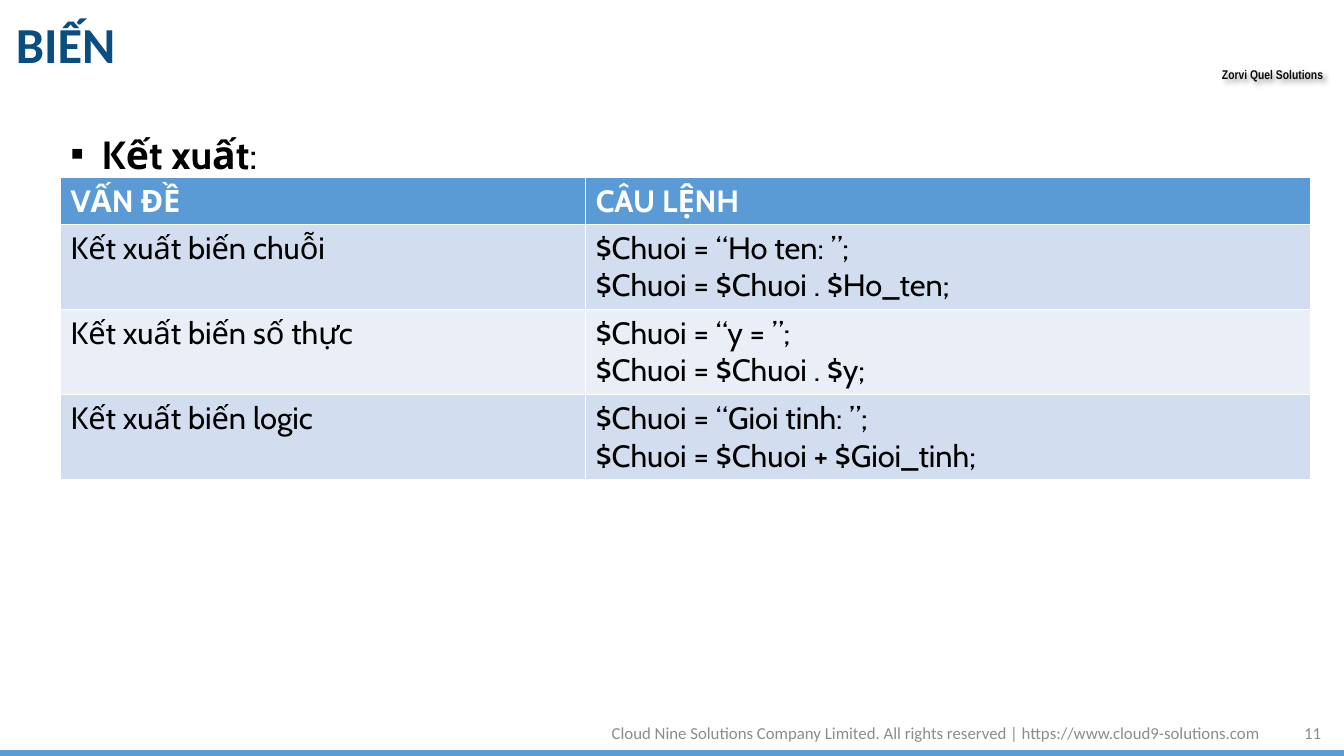
from dataclasses import dataclass

from lxml.etree import SubElement as Sub
from pptx import Presentation
from pptx.dml.color import RGBColor
from pptx.enum.shapes import MSO_SHAPE as Shape
from pptx.enum.text import MSO_ANCHOR as Anchor, PP_ALIGN as Align
from pptx.oxml.ns import qn
from pptx.util import Emu, Inches, Pt

deck = Presentation()
deck.slide_width, deck.slide_height = Inches(13.33), Inches(7.5)
slide = deck.slides.add_slide(deck.slide_layouts[6])

BLUE, NAVY, GREY = "5B9BD5", "094D81", "8C8C8C"
BANDS = ("D2DEEF", "EAEFF7")
COLS, HEAD, ROW = (39.08, 53.94), 6.1, 11.27


@dataclass
class Box:
    """A place on the slide, in percent of its width and height."""
    x: float
    y: float
    w: float
    h: float

    def place(self) -> tuple[Emu, Emu, Emu, Emu]:
        return across(self.x), down(self.y), across(self.w), down(self.h)


@dataclass
class Label:
    box: Box
    text: str
    form: dict
    pad: bool = True
    mid: bool = True


def across(share: float) -> Emu:
    return Emu(int(deck.slide_width * share / 100))


def down(share: float) -> Emu:
    return Emu(int(deck.slide_height * share / 100))


def color(code: str) -> RGBColor:
    return RGBColor.from_string(code)


def write(para, text: str, *, size: float, face: str = "Calibri", ink: str = "000000",
          bold: bool = False, align=None, gap: float | None = None) -> None:
    run = para.add_run()
    run.text = text
    font = run.font
    font.size, font.name, font.bold = Pt(size), face, bold
    font.color.rgb = color(ink)
    if align is not None:
        para.alignment = align
    if gap is not None:
        para.line_spacing = gap


def draw(label: Label):
    shape = slide.shapes.add_textbox(*label.box.place())
    frame = shape.text_frame
    frame.word_wrap = label.pad
    if not label.pad:
        frame.margin_left = frame.margin_right = frame.margin_top = frame.margin_bottom = 0
    frame.vertical_anchor = Anchor.MIDDLE if label.mid else Anchor.TOP
    write(frame.paragraphs[0], label.text, **label.form)
    return shape


def shade(shape) -> None:
    effect = Sub(shape._element.spPr, qn("a:effectLst"))
    cast = Sub(effect, qn("a:outerShdw"), blurRad="50800", dist="38100", dir="2700000")
    tint = Sub(cast, qn("a:srgbClr"), val="000000")
    Sub(tint, qn("a:alpha"), val="40000")


def bullet(para, mark: str, dent: float) -> None:
    props = para._p.get_or_add_pPr()
    props.set("marL", str(Inches(dent)))
    props.set("indent", str(-Inches(dent)))
    Sub(props, qn("a:buFont"), typeface="Arial")
    Sub(props, qn("a:buChar"), char=mark)


def fill(cell, lines: list[str], back: str, **form) -> None:
    cell.fill.solid()
    cell.fill.fore_color.rgb = color(back)
    frame = cell.text_frame
    for i, line in enumerate(lines):
        para = frame.add_paragraph() if i else frame.paragraphs[0]
        write(para, line, size=22, face="Cabin", **form)


# Bottom bar
bar = slide.shapes.add_shape(Shape.RECTANGLE, *Box(0, 99.33, 100, 0.67).place())
bar.shadow.inherit = False
bar.fill.solid()
bar.fill.fore_color.rgb = bar.line.color.rgb = color(BLUE)
bar.line.width = Pt(1.25)

# Company label
shade(draw(Label(Box(90.92, 8.8, 7.8, 2), "Zorvi Quel Solutions",
                 dict(size=9, face="Arial Narrow", ink="0D0D0D", bold=True),
                 pad=False, mid=False)))

# Title and footer
foot = dict(size=12, ink=GREY, align=Align.RIGHT)
for label in (
    Label(Box(0.45, 0.93, 88.75, 10.67), "BIẾN",
          dict(size=36, ink=NAVY, bold=True, gap=0.9)),
    Label(Box(95.05, 94.27, 3.98, 5.33), "11", foot),
    Label(Box(35.41, 94.27, 59.11, 5.33),
          "Cloud Nine Solutions Company Limited. All rights reserved"
          " | https://www.cloud9-solutions.com", foot),
):
    draw(label)

# Bulleted heading
body = slide.shapes.add_textbox(*Box(4.5, 14.67, 93.02, 8.8).place())
body.text_frame.word_wrap = True
para = body.text_frame.paragraphs[0]
bullet(para, "▪", 0.31)
write(para, "Kết xuất", size=28, face="Cabin", bold=True, align=Align.JUSTIFY, gap=1.3)
write(para, ":", size=28, face="Cabin")

# Table of statements
rows = [
    ("Kết xuất biến chuỗi", ["$Chuoi = “Ho ten: ”;", "$Chuoi = $Chuoi . $Ho_ten;"]),
    ("Kết xuất biến số thực", ["$Chuoi = “y = ”;", "$Chuoi = $Chuoi . $y;"]),
    ("Kết xuất biến logic", ["$Chuoi = “Gioi tinh: ”;", "$Chuoi = $Chuoi + $Gioi_tinh;"]),
]
area = Box(4.5, 23.47, sum(COLS), HEAD + ROW * len(rows))
table = slide.shapes.add_table(len(rows) + 1, len(COLS), *area.place()).table
for col, share in zip(table.columns, COLS):
    col.width = across(share)
table.rows[0].height = down(HEAD)
for c, text in enumerate(("VẤN ĐỀ", "CÂU LỆNH")):
    fill(table.cell(0, c), [text], BLUE, ink="FFFFFF", bold=True)
for r, (topic, code) in enumerate(rows, 1):
    table.rows[r].height = down(ROW)
    back = BANDS[(r - 1) % 2]
    fill(table.cell(r, 0), [topic], back)
    fill(table.cell(r, 1), code, back)

deck.save("out.pptx")
